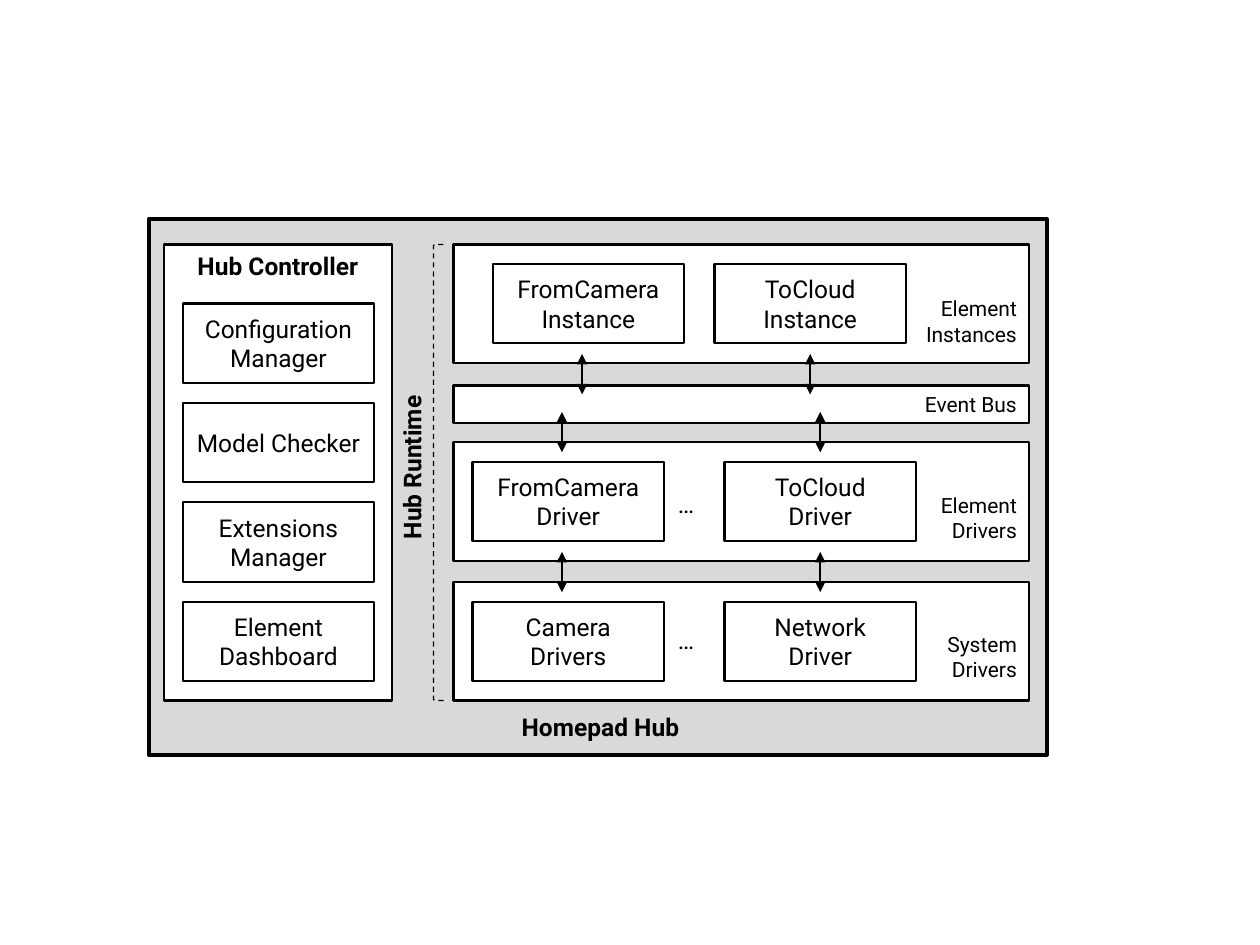
from dataclasses import dataclass
from typing import NamedTuple

from lxml.etree import SubElement
from pptx import Presentation
from pptx.dml.color import RGBColor
from pptx.enum.dml import MSO_LINE
from pptx.enum.shapes import MSO_CONNECTOR, MSO_SHAPE
from pptx.enum.text import MSO_ANCHOR, MSO_AUTO_SIZE, PP_ALIGN
from pptx.oxml.ns import qn
from pptx.util import Inches, Pt


@dataclass(frozen=True)
class Theme:
    font: str = "Roboto"
    ink: RGBColor = RGBColor(0, 0, 0)
    paper: RGBColor = RGBColor(255, 255, 255)
    hub: RGBColor = RGBColor(0xD9, 0xD9, 0xD9)
    body: int = 14
    small: int = 12
    thick: float = 2.25
    line: float = 1.25
    thin: float = 0.75


class Area(NamedTuple):
    col: float
    row: float
    cols: float
    rows: float


class Node(NamedTuple):
    text: str
    col: float
    row: float


class Label(NamedTuple):
    text: str
    area: Area
    align: PP_ALIGN = PP_ALIGN.CENTER
    size: int = 14
    bold: bool = False
    turn: int = 0


class Link(NamedTuple):
    col: float
    row: float


THEME = Theme()
COLS, ROWS = 100, 75
WIDE, HIGH = Inches(10), Inches(7.5)
RIGHT = PP_ALIGN.RIGHT

TOP, LOW = 19.4, 55.6
LANE, SPAN, DEEP = 36, 45.7, 9.4
BOX_W, BOX_H, PAD = 15.2, 6.3, 1.55
LINK_H = 3.2
UPPER, MID, BASE = TOP, 35.1, 46.2
BUS = Area(LANE, 30.6, SPAN, 3)
HUB = Area(11.8, 17.4, 71.3, 42.5)
DESK = Area(13, TOP, 18.1, LOW - TOP)
STEP = (BASE + PAD - 24.1) / 3

PANELS = [DESK, BUS] + [Area(LANE, row, SPAN, DEEP) for row in (UPPER, MID, BASE)]

TASKS = ["Configuration Manager", "Model Checker", "Extensions Manager", "Element Dashboard"]
NODES = [Node(text, 14.5, 24.1 + k * STEP) for k, text in enumerate(TASKS)] + [
    Node("FromCamera Instance", 39.1, UPPER + PAD),
    Node("ToCloud\nInstance", 56.7, UPPER + PAD),
    Node("FromCamera Driver", 37.5, MID + PAD),
    Node("ToCloud\nDriver", 57.5, MID + PAD),
    Node("Camera Drivers", 37.5, BASE + PAD),
    Node("Network\nDriver", 57.5, BASE + PAD),
]

LABELS = [
    Label("Hub Controller", Area(13, TOP, 18.1, 3.4), bold=True),
    Label("Homepad Hub", Area(12.2, 56, 70.9, 3.4), bold=True),
    Label("Hub Runtime", Area(14.2, 35.4, 37, 3.4), bold=True, turn=270),
    Label("…", Area(50.1, 38.3, 8.7, 3.4)),
    Label("…", Area(50.1, 49.1, 8.7, 3.4)),
    Label("Element\nInstances", Area(70.7, 23, 11, 5), RIGHT, THEME.small),
    Label("Element\nDrivers", Area(73, 38.6, 8.7, 5), RIGHT, THEME.small),
    Label("System\nDrivers", Area(73, 49.6, 8.7, 5), RIGHT, THEME.small),
]

LINKS = [
    Link(col, row)
    for row, pair in ((28.1, (46.2, 64.3)), (32.7, (44.6, 65.1)), (43.8, (44.6, 65.1)))
    for col in pair
]


def across(cols: float) -> int:
    return round(WIDE * cols / COLS)


def down(rows: float) -> int:
    return round(HIGH * rows / ROWS)


def place(area: Area) -> tuple[int, int, int, int]:
    return across(area.col), down(area.row), across(area.cols), down(area.rows)


def write(shape, text: str, align: PP_ALIGN, size: int, bold: bool = False) -> None:
    frame = shape.text_frame
    frame.text = text
    frame.word_wrap = True
    for para in frame.paragraphs:
        para.alignment = align
        for run in para.runs:
            run.font.name = THEME.font
            run.font.size = Pt(size)
            run.font.bold = bold
            run.font.color.rgb = THEME.ink


def outline(slide, kind: MSO_SHAPE, area: Area, fill: RGBColor | None, width: float):
    shape = slide.shapes.add_shape(kind, *place(area))
    shape.shadow.inherit = False
    if fill is None:
        shape.fill.background()
    else:
        shape.fill.solid()
        shape.fill.fore_color.rgb = fill
    shape.line.color.rgb = THEME.ink
    shape.line.width = Pt(width)
    return shape


def panel(slide, area: Area):
    return outline(slide, MSO_SHAPE.RECTANGLE, area, THEME.paper, THEME.line)


def draw_node(slide, node: Node) -> None:
    area = Area(node.col, node.row, BOX_W, BOX_H)
    shape = outline(slide, MSO_SHAPE.ROUNDED_RECTANGLE, area, None, THEME.line)
    shape.adjustments[0] = 0
    write(shape, node.text, PP_ALIGN.CENTER, THEME.body)
    shape.text_frame.vertical_anchor = MSO_ANCHOR.MIDDLE


def draw_label(slide, label: Label) -> None:
    box = slide.shapes.add_textbox(*place(label.area))
    box.rotation = label.turn
    write(box, label.text, label.align, label.size, label.bold)
    box.text_frame.auto_size = MSO_AUTO_SIZE.SHAPE_TO_FIT_TEXT


def draw_link(slide, link: Link) -> None:
    x = across(link.col)
    line = slide.shapes.add_connector(
        MSO_CONNECTOR.STRAIGHT, x, down(link.row), x, down(link.row + LINK_H))
    line.line.color.rgb = THEME.ink
    line.line.width = Pt(THEME.line)
    props = line.line._get_or_add_ln()
    for end in ("a:headEnd", "a:tailEnd"):
        SubElement(props, qn(end), type="triangle")
    SubElement(line._element.spPr, qn("a:effectLst"))


def main() -> None:
    deck = Presentation()
    deck.slide_width, deck.slide_height = WIDE, HIGH
    slide = deck.slides.add_slide(deck.slide_layouts[6])
    outline(slide, MSO_SHAPE.RECTANGLE, HUB, THEME.hub, THEME.thick)
    for area in PANELS:
        shape = panel(slide, area)
        if area is BUS:
            write(shape, "Event Bus", RIGHT, THEME.small)
            shape.text_frame.vertical_anchor = MSO_ANCHOR.MIDDLE
    brace = outline(slide, MSO_SHAPE.RIGHT_BRACKET,
                    Area(34.4, TOP, 0.8, LOW - TOP), None, THEME.thin)
    brace.rotation = 180
    brace.line.dash_style = MSO_LINE.DASH
    for node in NODES:
        draw_node(slide, node)
    for label in LABELS:
        draw_label(slide, label)
    for link in LINKS:
        draw_link(slide, link)
    deck.save("out.pptx")


if __name__ == "__main__":
    main()
